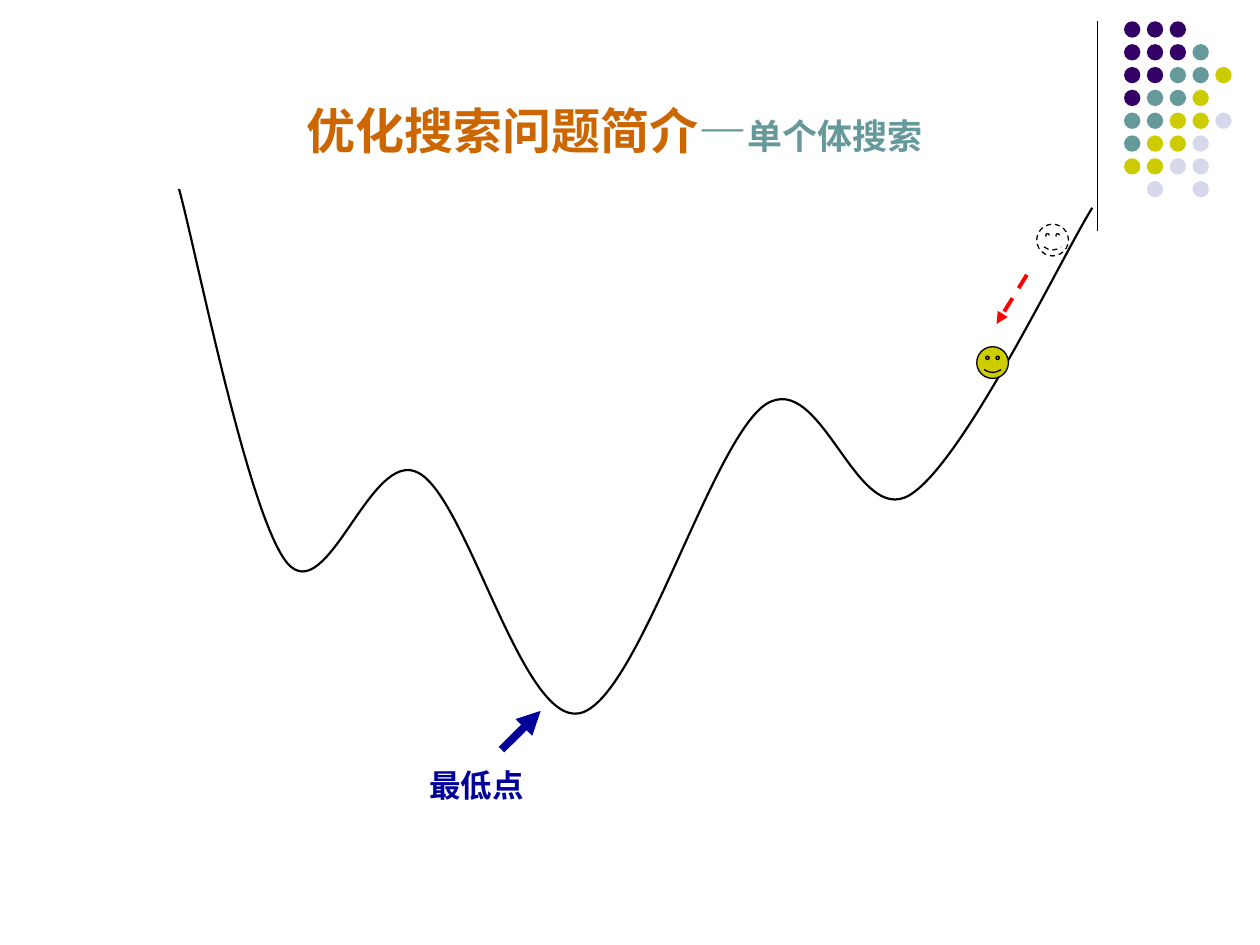
import pptx
import pptx.dml.color
import pptx.enum.dml
import pptx.enum.shapes
import pptx.enum.text
import pptx.oxml.ns
import pptx.util
from dataclasses import dataclass
from typing import Optional
from lxml import etree

Cm, Pt = pptx.util.Cm, pptx.util.Pt
RGBColor = pptx.dml.color.RGBColor
Shape = pptx.enum.shapes.MSO_SHAPE
DASH = pptx.enum.dml.MSO_LINE.DASH
qn = pptx.oxml.ns.qn

BLACK = RGBColor(0x00, 0x00, 0x00)
PURPLE = RGBColor(0x33, 0x00, 0x66)
TEAL = RGBColor(0x66, 0x99, 0x99)
LIME = RGBColor(0xCC, 0xCC, 0x00)
PALE = RGBColor(0xD8, 0xD8, 0xEC)
ORANGE = RGBColor(0xCC, 0x66, 0x00)
NAVY = RGBColor(0x00, 0x00, 0x99)
RED = RGBColor(0xFF, 0x00, 0x00)

# Dot grid: one letter per dot, a space for a gap
DOTS = ("PPP", "PPPT", "PPTTL", "PTTL", "TTLLA", "TLLA", "LLAA", " A A")
TONES = {"P": PURPLE, "T": TEAL, "L": LIME, "A": PALE}
DOT_X, DOT_Y, PITCH, DOT = 22.66, 0.43, 0.46, 0.33

# Start point, then two control points and an end point per arc
CURVE = (
    (3.61, 3.81),
    (3.96, 5.08), (5.0, 10.39), (5.79, 11.35),
    (6.6, 12.29), (7.47, 9.02), (8.43, 9.53),
    (9.42, 10.03), (10.52, 14.61), (11.68, 14.38),
    (12.85, 14.15), (14.33, 8.89), (15.44, 8.15),
    (16.56, 7.44), (17.25, 10.64), (18.34, 9.98),
    (19.43, 9.32), (21.41, 5.16), (22.02, 4.19),
)


@dataclass
class Line:
    x1: float
    y1: float
    x2: float
    y2: float
    tone: RGBColor
    width: float
    head: bool = False
    dash: bool = False


@dataclass
class Face:
    x: float
    y: float
    fill: Optional[RGBColor] = None


@dataclass
class Phrase:
    text: str
    size: float
    tone: RGBColor


@dataclass
class Label:
    x: float
    y: float
    w: float
    h: float
    face: str
    words: tuple[Phrase, ...]


def draw_line(shapes, item: Line) -> None:
    line = shapes.add_connector(
        pptx.enum.shapes.MSO_CONNECTOR.STRAIGHT,
        Cm(item.x1), Cm(item.y1), Cm(item.x2), Cm(item.y2))
    line.line.color.rgb = item.tone
    line.line.width = Pt(item.width)
    if item.dash:
        line.line.dash_style = DASH
    props = line._element.spPr
    if item.head:
        etree.SubElement(props.find(qn("a:ln")), qn("a:tailEnd"), type="triangle")
    etree.SubElement(props, qn("a:effectLst"))


def draw_dots(shapes) -> None:
    for row, marks in enumerate(DOTS):
        for col, mark in enumerate(marks):
            if mark == " ":
                continue
            dot = shapes.add_shape(
                Shape.OVAL, Cm(DOT_X + col * PITCH), Cm(DOT_Y + row * PITCH),
                Cm(DOT), Cm(DOT))
            dot.shadow.inherit = False
            dot.fill.solid()
            dot.fill.fore_color.rgb = TONES[mark]
            dot.line.fill.background()


def draw_curve(shapes) -> None:
    points = [(Cm(x), Cm(y)) for x, y in CURVE]
    pen = shapes.build_freeform(*points[0])
    pen.add_line_segments(points[1:], close=False)
    curve = pen.convert_to_shape()
    curve.shadow.inherit = False
    curve.fill.background()
    curve.line.color.rgb = BLACK
    curve.line.width = Pt(1.25)
    # Join each three straight steps into one cubic arc
    steps = list(curve._element.iter(qn("a:lnTo")))
    for i in range(0, len(steps), 3):
        arc = etree.Element(qn("a:cubicBezTo"))
        steps[i].addprevious(arc)
        for step in steps[i:i + 3]:
            arc.append(step[0])
            step.getparent().remove(step)


def draw_face(shapes, item: Face) -> None:
    face = shapes.add_shape(
        Shape.SMILEY_FACE, Cm(item.x), Cm(item.y), Cm(0.64), Cm(0.64))
    face.adjustments[0] = 0.09
    face.shadow.inherit = False
    face.line.color.rgb = BLACK
    face.line.width = Pt(0.75)
    if item.fill is None:
        face.fill.background()
        face.line.dash_style = DASH
    else:
        face.fill.solid()
        face.fill.fore_color.rgb = item.fill


def draw_label(shapes, item: Label) -> None:
    box = shapes.add_textbox(Cm(item.x), Cm(item.y), Cm(item.w), Cm(item.h))
    frame = box.text_frame
    frame.word_wrap = True
    frame.auto_size = pptx.enum.text.MSO_AUTO_SIZE.SHAPE_TO_FIT_TEXT
    para = frame.paragraphs[0]
    para.alignment = pptx.enum.text.PP_ALIGN.CENTER
    para.font.name = item.face
    para.font.bold = True
    # A lone phrase is set on the paragraph, mixed phrases on their runs
    for word in item.words:
        run = para.add_run()
        run.text = word.text
        font = para.font if len(item.words) == 1 else run.font
        font.size = Pt(word.size)
        font.color.rgb = word.tone


def main() -> None:
    deck = pptx.Presentation()
    deck.slide_width, deck.slide_height = Cm(25.4), Cm(19.05)
    shapes = deck.slides.add_slide(deck.slide_layouts[6]).shapes

    # Corner ornament
    draw_line(shapes, Line(22.12, 0.43, 22.12, 4.65, BLACK, 0.75))
    draw_dots(shapes.add_group_shape().shapes)

    # Search landscape and the current position
    draw_curve(shapes)
    draw_face(shapes, Face(19.69, 6.99, LIME))

    # Title
    draw_label(shapes, Label(5.51, 1.9, 13.77, 1.45, "Times New Roman", (
        Phrase("优化搜索问题简介", 28, ORANGE),
        Phrase("—", 28, TEAL),
        Phrase("单个体搜索", 20, TEAL))))

    # Lowest point with its arrow
    low = shapes.add_group_shape().shapes
    draw_line(low, Line(10.11, 15.11, 10.9, 14.33, NAVY, 4.5, head=True))
    draw_label(low, Label(8.31, 15.32, 2.59, 1.02, "Arial",
                          (Phrase("最低点", 18, NAVY),)))

    # Former position and the move downhill
    draw_face(shapes, Face(20.9, 4.52))
    draw_line(shapes, Line(20.7, 5.54, 20.09, 6.53, RED, 2.25, head=True, dash=True))

    deck.save("out.pptx")


if __name__ == "__main__":
    main()
